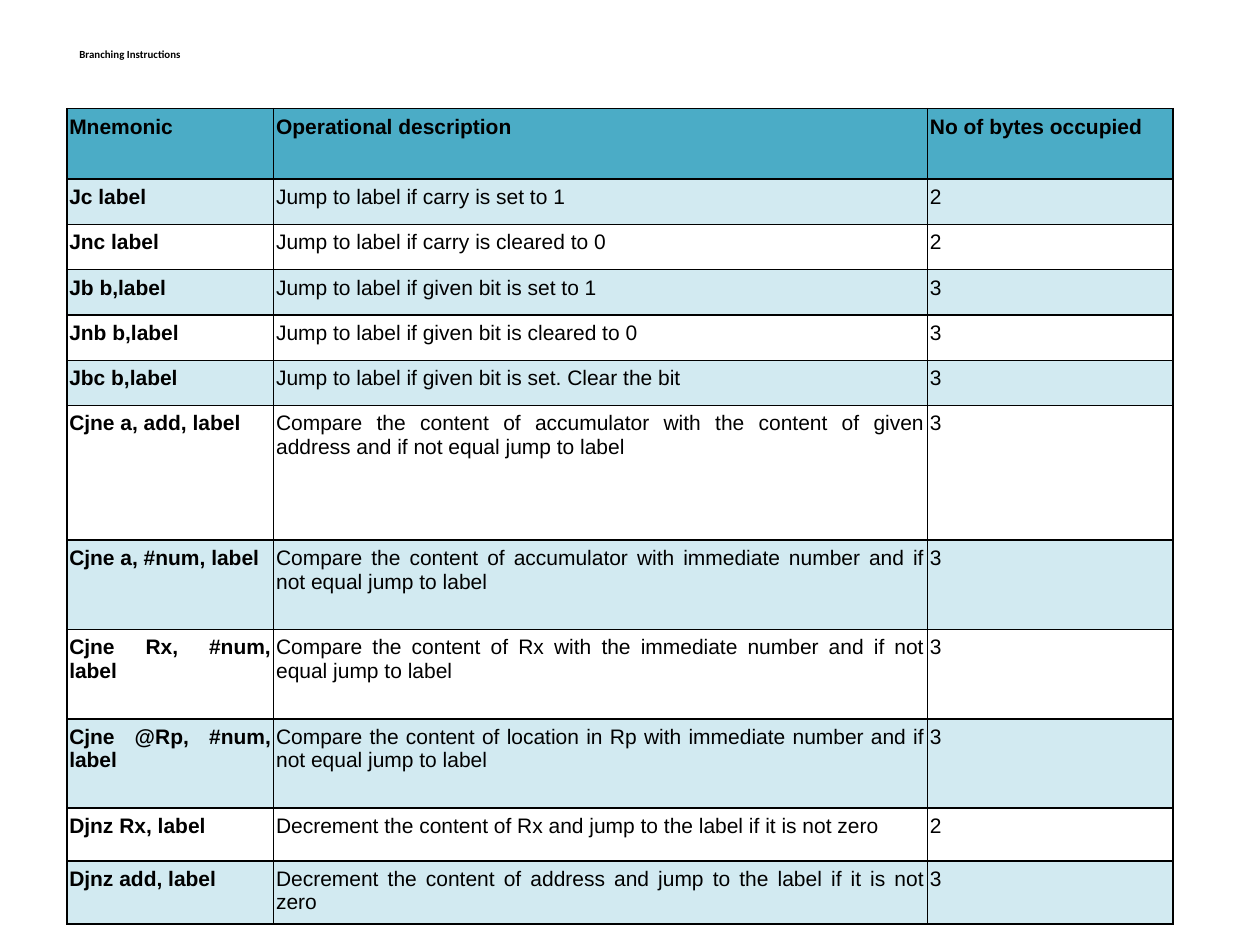
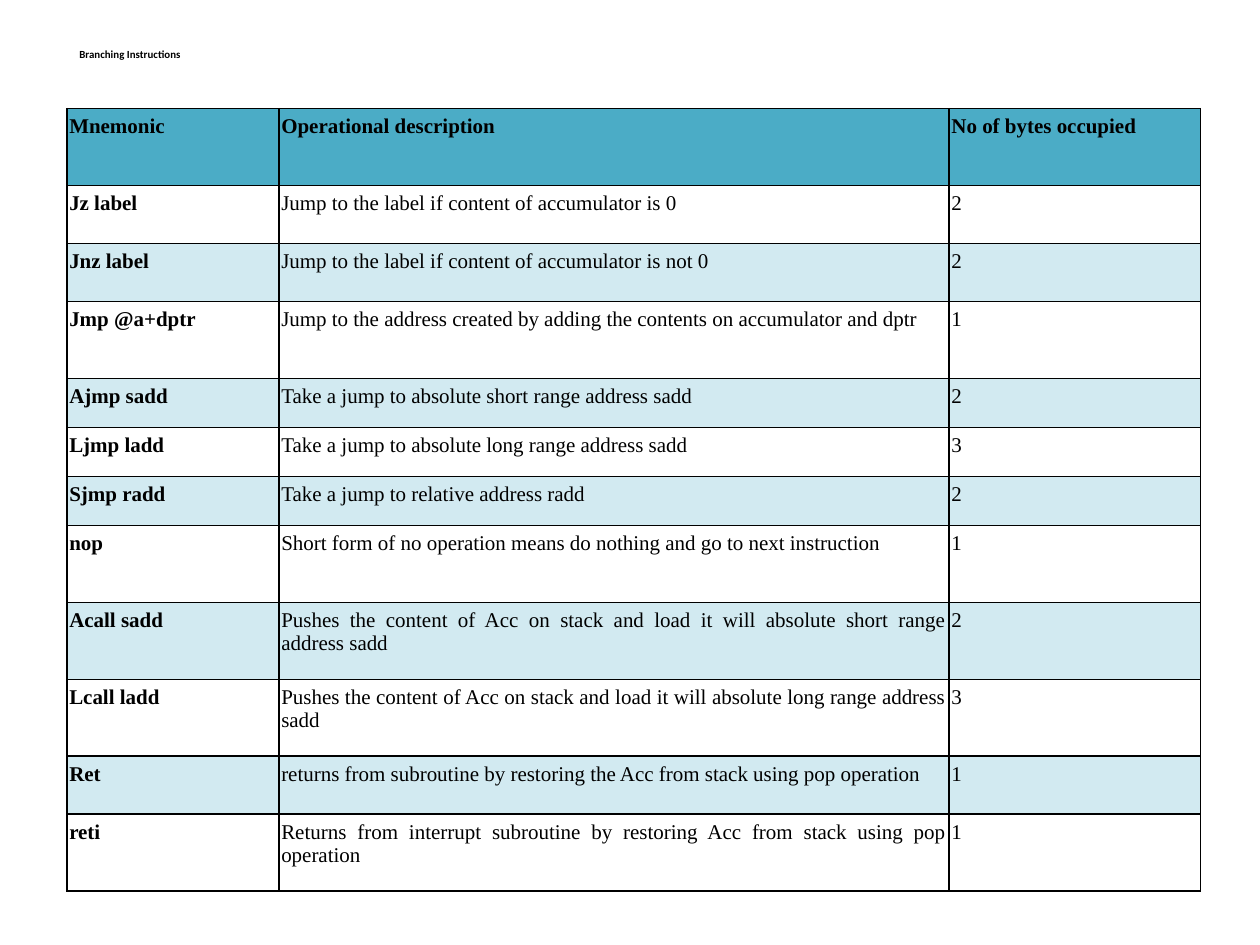
from pptx import Presentation, util as u
from pptx.dml.color import RGBColor
from pptx.enum import text
from pptx.oxml import parse_xml
from pptx.oxml.ns import nsdecls

HUES = {"ink": "000000", "head": "4BACC6", "band": "D2EAF1"}
WIDE, HIGH = 10, 7.5
LEFT, TOP = 0.053, 0.115
COLS = (0.187, 0.591, 0.222)
HEADS = ("Mnemonic", "Operational description", "No of bytes occupied")

JUMPS = (
    ("Jc label", "Jump to label if carry is set to 1", 2),
    ("Jnc label", "Jump to label if carry is cleared to 0", 2),
    ("Jb b,label", "Jump to label if given bit is set to 1", 3),
    ("Jnb b,label", "Jump to label if given bit is cleared to 0", 3),
    ("Jbc b,label", "Jump to label if given bit is set. Clear the bit", 3),
    ("Cjne a, add, label", "Compare the content of accumulator with the content of given "
     "address and if not equal jump to label", 3),
    ("Cjne a, #num, label", "Compare the content of accumulator with immediate number and if "
     "not equal jump to label", 3),
    ("Cjne Rx, #num, label", "Compare the content of Rx with the immediate number and if not "
     "equal jump to label", 3),
    ("Cjne @Rp, #num, label", "Compare the content of location in Rp with immediate number and "
     "if not equal jump to label", 3),
    ("Djnz Rx, label", "Decrement the content of Rx and jump to the label if it is not zero", 2),
    ("Djnz add, label", "Decrement the content of address and jump to the label if it is not "
     "zero", 3),
)
CALLS = (
    ("Jz label", "Jump to the label if content of accumulator is 0", 2),
    ("Jnz label", "Jump to the label if content of accumulator is not 0", 2),
    ("Jmp @a+dptr", "Jump to the address created by adding the contents on accumulator and "
     "dptr", 1),
    ("Ajmp sadd", "Take a jump to absolute short range address sadd", 2),
    ("Ljmp ladd", "Take a jump to absolute long range address sadd", 3),
    ("Sjmp radd", "Take a jump to relative address radd", 2),
    ("nop", "Short form of no operation means do nothing and go to next instruction", 1),
    ("Acall sadd", "Pushes the content of Acc on stack and load it will absolute short range "
     "address sadd", 2),
    ("Lcall ladd", "Pushes the content of Acc on stack and load it will absolute long range "
     "address sadd", 3),
    ("Ret", "returns from subroutine by restoring the Acc from stack using pop operation", 1),
    ("reti", "Returns from interrupt subroutine by restoring Acc from stack using pop "
     "operation", 1),
)
JUMP_ROWS = (56, *[36] * 5, 107, *[71] * 3, 42, 50)
CALL_ROWS = (61, 46, 46, 61, *[39] * 3, *[61] * 3, 46, 61)


def scale(box):
    """Turn shares of the slide into lengths."""
    x, y, w, h = box
    return [u.Inches(n) for n in (x * WIDE, y * HIGH, w * WIDE, h * HIGH)]


def write(frame, words, font="Arial", size=12, bold=False, align="JUSTIFY"):
    """Put formatted words into a text frame."""
    para = frame.paragraphs[0]
    para.alignment = getattr(text.PP_ALIGN, align)
    run = para.add_run()
    run.text = str(words)
    run.font.name, run.font.size, run.font.bold = font, u.Pt(size), bold
    run.font.color.rgb = RGBColor.from_string(HUES["ink"])


def title(slide, words, box):
    """Move and format the title placeholder."""
    shape = slide.shapes.title
    shape.left, shape.top, shape.width, shape.height = scale(box)
    frame = shape.text_frame
    frame.word_wrap = True
    frame.auto_size = text.MSO_AUTO_SIZE.NONE
    frame.vertical_anchor = text.MSO_ANCHOR.MIDDLE
    frame.margin_left = frame.margin_right = u.Inches(0.1)
    frame.margin_top, frame.margin_bottom = u.Inches(0.05), u.Inches(0.15)
    write(frame, words, font="Calibri", size=6.2, bold=True, align="LEFT")


def edge(cell):
    """Draw thin lines on all four sides of a cell."""
    props = cell._tc.get_or_add_tcPr()
    for spot, side in enumerate("LRTB"):
        props.insert(spot, parse_xml(
            f'<a:ln{side} {nsdecls("a")} w="{u.Pt(0.96)}"><a:solidFill>'
            f'<a:srgbClr val="{HUES["ink"]}"/></a:solidFill></a:ln{side}>'))


def paint(cell, hue):
    """Fill a cell, or leave it clear when no hue is given."""
    if hue:
        cell.fill.solid()
        cell.fill.fore_color.rgb = RGBColor.from_string(HUES[hue])
    else:
        cell.fill.background()


def grid(slide, rows, sizes, box, font, odd):
    """Build a banded table whose rows share out the height of its box."""
    x, y, w, h = scale(box)
    table = slide.shapes.add_table(len(rows) + 1, len(COLS), x, y, w, h).table
    table.horz_banding = False
    for col, share in zip(table.columns, COLS):
        col.width = int(w * share)
    for row, size in zip(table.rows, sizes):
        row.height = int(h * size / sum(sizes))
    for r, row in enumerate((HEADS, *rows)):
        hue = "head" if r == 0 else "band" if r % 2 == odd else None
        for c, words in enumerate(row):
            cell = table.cell(r, c)
            cell.margin_left = cell.margin_right = u.Inches(0.02)
            cell.margin_top = cell.margin_bottom = u.Inches(0.05)
            write(cell.text_frame, words, font=font, bold=r == 0 or c == 0)
            paint(cell, hue)
            edge(cell)


def page(deck, rows, sizes, wide, high, font, odd):
    """Add a slide with a title above an instruction table."""
    slide = deck.slides.add_slide(deck.slide_layouts[5])
    title(slide, "Branching Instructions", (LEFT, 0.013, 0.878, 0.103))
    grid(slide, rows, sizes, (LEFT, TOP, wide, high), font, odd)


def main():
    """Build and save the deck."""
    deck = Presentation()
    deck.slide_width, deck.slide_height = u.Inches(WIDE), u.Inches(HIGH)
    page(deck, JUMPS, JUMP_ROWS, 0.878, 0.863, "Arial", 1)
    page(deck, CALLS, CALL_ROWS, 0.9, 0.828, "Times New Roman", 0)
    deck.save("out.pptx")


if __name__ == "__main__":
    main()
